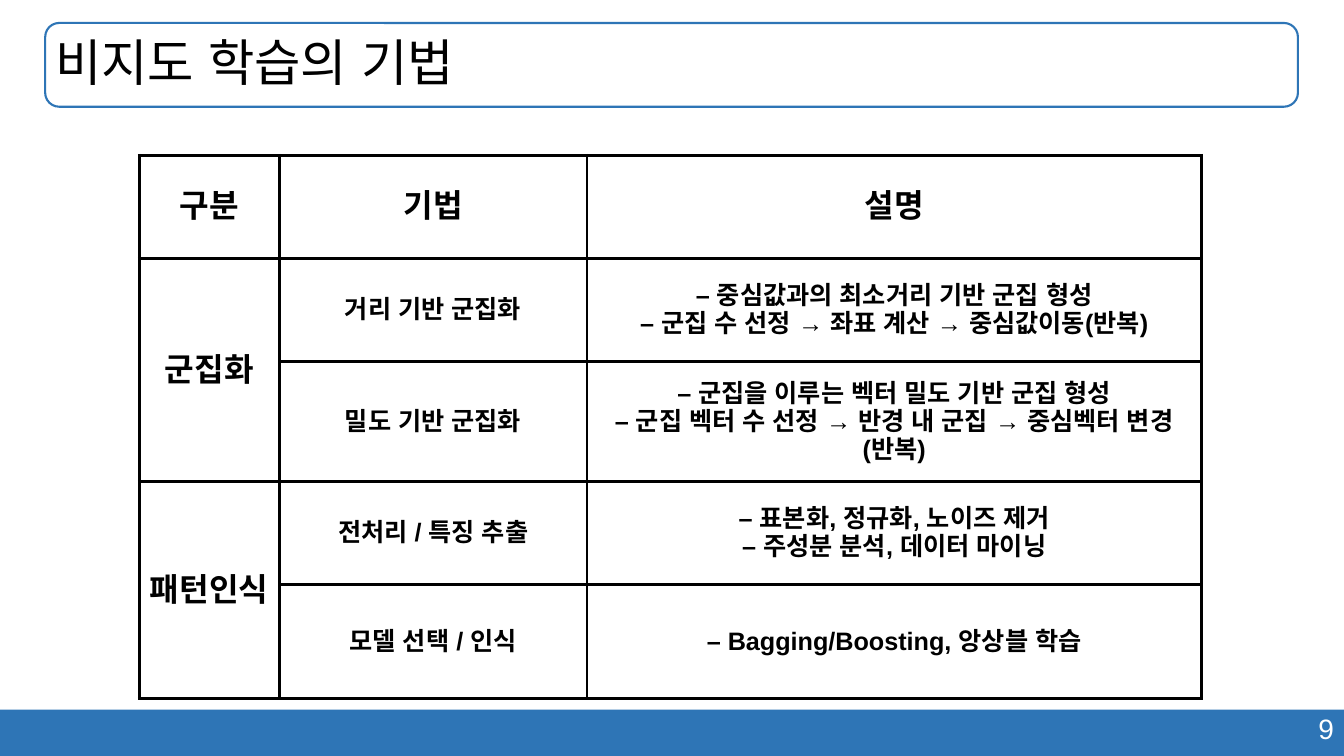
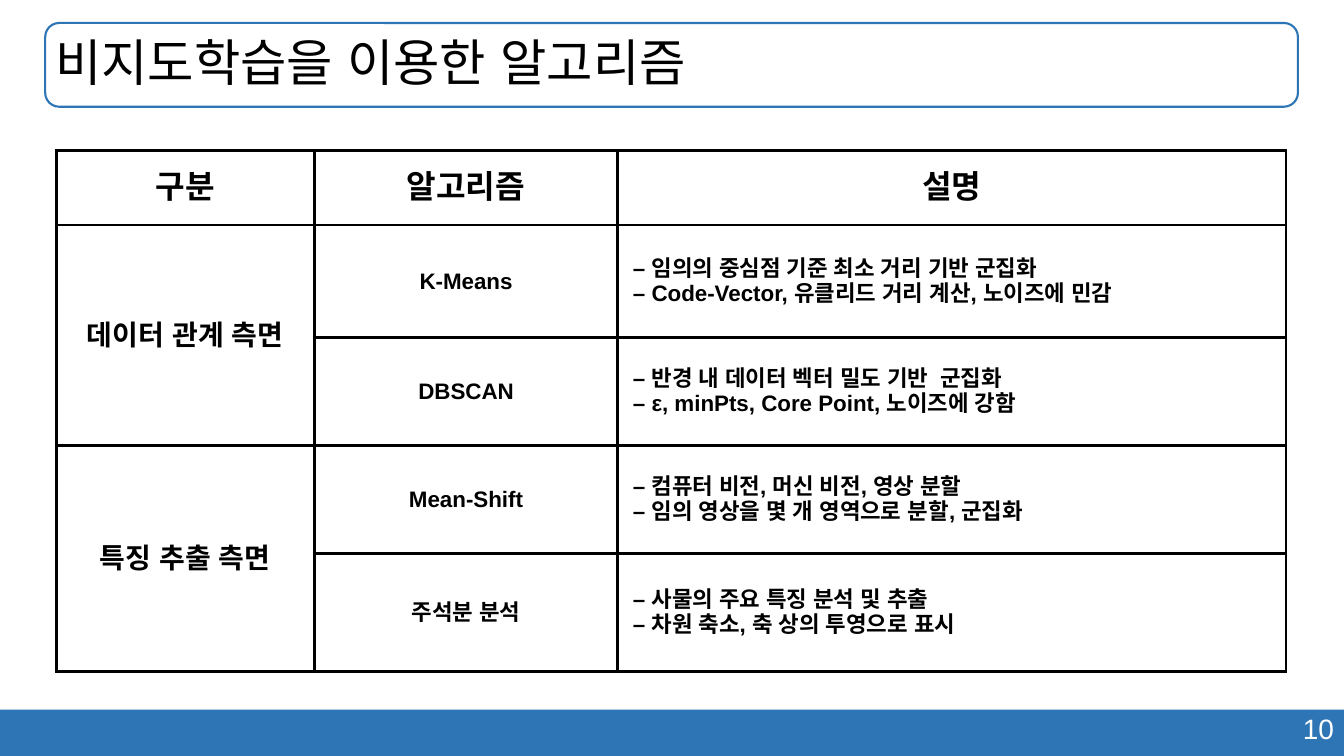
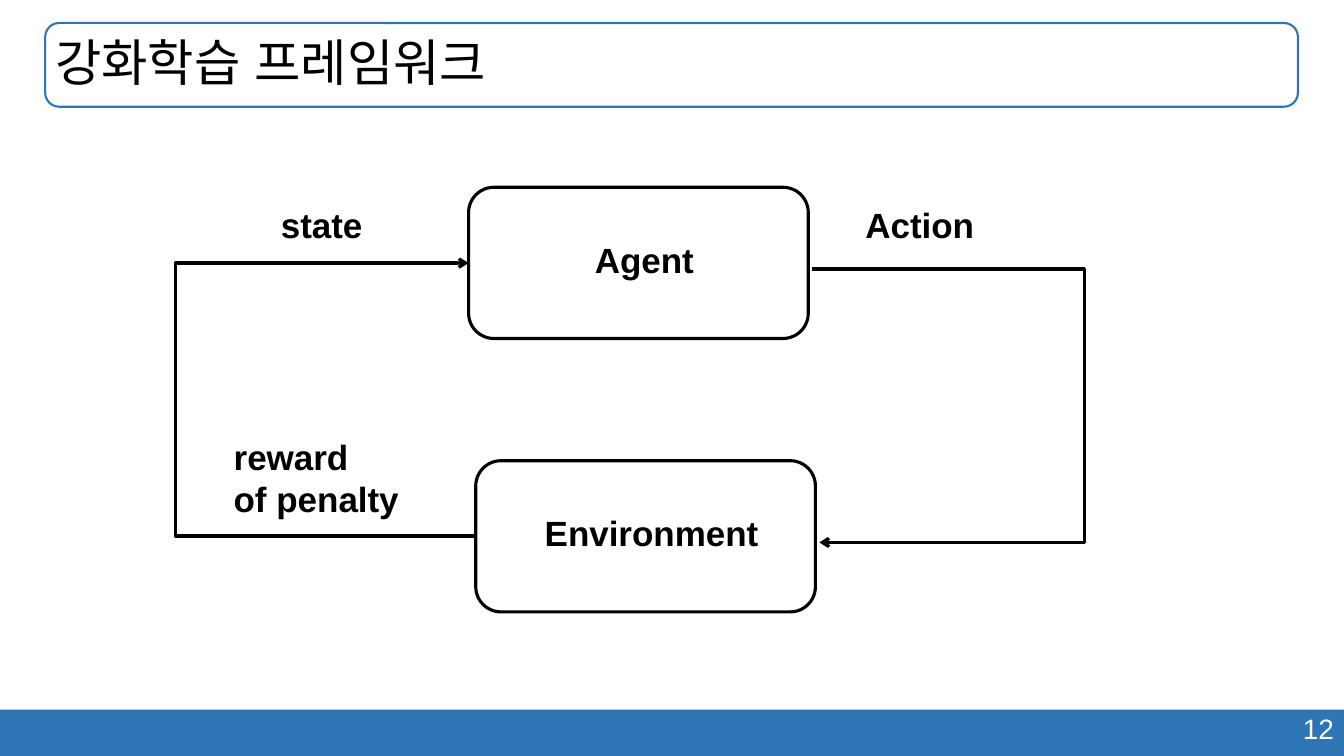
from dataclasses import dataclass

from lxml import etree
from pptx import Presentation
from pptx.dml.color import RGBColor
from pptx.enum.shapes import MSO_CONNECTOR, MSO_SHAPE
from pptx.enum.text import MSO_ANCHOR, PP_ALIGN
from pptx.oxml.ns import qn
from pptx.util import Cm, Pt

BLUE = RGBColor(0x2E, 0x75, 0xB6)
BLACK = RGBColor(0x00, 0x00, 0x00)
WHITE = RGBColor(0xFF, 0xFF, 0xFF)
FONT = "Arial"
LEFT, CENTER, RIGHT = PP_ALIGN.LEFT, PP_ALIGN.CENTER, PP_ALIGN.RIGHT
TOP, MIDDLE = MSO_ANCHOR.TOP, MSO_ANCHOR.MIDDLE
RECT, ROUNDED = MSO_SHAPE.RECTANGLE, MSO_SHAPE.ROUNDED_RECTANGLE
PROCESS = MSO_SHAPE.FLOWCHART_ALTERNATE_PROCESS
ELBOW = MSO_CONNECTOR.ELBOW

SLIDE_W, SLIDE_H = 33.87, 19.05
BAND_TOP = 17.88
TITLE_BOX = (1.14, 0.58, 31.57, 2.11)
NUMBER_BOX = (23.96, 17.81, 9.91, 1.12)
NODE_W, NODE_H = 8.56, 3.81
LABEL_W = 5.38
LINE_W = 2.25
HEADER_SIZE = 23
DIAGRAM_SIZE = 25


@dataclass(frozen=True)
class Group:
    name: str
    entries: tuple[tuple[str, str], ...]


@dataclass(frozen=True)
class TableSpec:
    left: float
    top: float
    cols: tuple[float, ...]
    rows: tuple[float, ...]
    header: tuple[str, ...]
    groups: tuple[Group, ...]
    group_size: int
    entry_size: int
    detail_align: PP_ALIGN = CENTER
    detail_inset: float | None = None


@dataclass(frozen=True)
class Node:
    text: str
    left: float
    top: float


@dataclass(frozen=True)
class Label:
    text: str
    left: float
    top: float
    height: float = 1.32


@dataclass(frozen=True)
class Link:
    start: tuple[float, float]
    end: tuple[float, float]
    turn_x: float


TECHNIQUES = TableSpec(
    3.51, 3.91, (3.53, 7.75, 15.49), (2.6, 2.6, 3.02, 2.6, 2.87),
    ("구분", "기법", "설명"),
    (
        Group("군집화", (
            ("거리 기반 군집화",
             "– 중심값과의 최소거리 기반 군집 형성\n"
             "– 군집 수 선정 → 좌표 계산 → 중심값이동(반복)"),
            ("밀도 기반 군집화",
             "– 군집을 이루는 벡터 밀도 기반 군집 형성\n"
             "– 군집 벡터 수 선정 → 반경 내 군집 → 중심벡터 변경(반복)"),
        )),
        Group("패턴인식", (
            ("전처리 / 특징 추출",
             "– 표본화, 정규화, 노이즈 제거\n– 주성분 분석, 데이터 마이닝"),
            ("모델 선택 / 인식", "– Bagging/Boosting, 앙상블 학습"),
        )),
    ),
    group_size=23, entry_size=18,
)

ALGORITHMS = TableSpec(
    1.42, 3.79, (6.5, 7.65, 16.84), (1.88, 2.84, 2.72, 2.72, 2.97),
    ("구분", "알고리즘", "설명"),
    (
        Group("데이터 관계 측면", (
            ("K-Means",
             "– 임의의 중심점 기준 최소 거리 기반 군집화\n"
             "– Code-Vector, 유클리드 거리 계산, 노이즈에 민감"),
            ("DBSCAN",
             "– 반경 내 데이터 벡터 밀도 기반  군집화\n"
             "– ε, minPts, Core Point, 노이즈에 강함"),
        )),
        Group("특징 추출 측면", (
            ("Mean-Shift",
             "– 컴퓨터 비전, 머신 비전, 영상 분할\n"
             "– 임의 영상을 몇 개 영역으로 분할, 군집화"),
            ("주석분 분석",
             "– 사물의 주요 특징 분석 및 추출\n"
             "– 차원 축소, 축 상의 투영으로 표시"),
        )),
    ),
    group_size=20, entry_size=16, detail_align=LEFT, detail_inset=0.38,
)

NODES = (Node("Agent", 11.81, 4.72), Node("Environment", 11.99, 11.61))
LINKS = (
    Link((20.47, 6.78), (20.65, 13.67), 27.33),
    Link((11.99, 13.51), (11.81, 6.63), 4.43),
)
LABELS = (
    Label("state", 6.83, 5),
    Label("Action", 21.56, 5),
    Label("reward\nof penalty", 5.64, 10.85, 2.36),
)


def write(tf, text: str, *, size: float, color: RGBColor = BLACK,
          bold: bool = False, align: PP_ALIGN = LEFT,
          spacing: float | None = None) -> None:
    for i, line in enumerate(text.split("\n")):
        p = tf.paragraphs[0] if i == 0 else tf.add_paragraph()
        p.alignment = align
        p.line_spacing = spacing
        r = p.add_run()
        r.text = line
        r.font.size = Pt(size)
        r.font.bold = bold
        r.font.color.rgb = color
        r.font.name = FONT
        etree.SubElement(r._r.get_or_add_rPr(), qn("a:ea"), typeface=FONT)


def add_text(s, box: tuple[float, ...], text: str, *,
             anchor: MSO_ANCHOR = TOP, **fmt) -> None:
    tf = s.shapes.add_textbox(*map(Cm, box)).text_frame
    tf.word_wrap = True
    tf.vertical_anchor = anchor
    write(tf, text, **fmt)


def add_box(s, kind: MSO_SHAPE, box: tuple[float, ...], *,
            fill: RGBColor | None = None, line: RGBColor | None = None,
            width: float = LINE_W):
    sp = s.shapes.add_shape(kind, *map(Cm, box))
    sp.shadow.inherit = False
    if fill is None:
        sp.fill.background()
    else:
        sp.fill.solid()
        sp.fill.fore_color.rgb = fill
    if line is None:
        sp.line.fill.background()
    else:
        sp.line.color.rgb = line
        sp.line.width = Pt(width)
    return sp


def add_page(prs, title: str, number: int):
    s = prs.slides.add_slide(prs.slide_layouts[6])
    add_box(s, RECT, (0, BAND_TOP, SLIDE_W, SLIDE_H - BAND_TOP), fill=BLUE)
    add_text(s, NUMBER_BOX, str(number), size=20, color=WHITE, align=RIGHT)
    add_box(s, ROUNDED, TITLE_BOX, line=BLUE, width=1.5)
    add_text(s, TITLE_BOX, title, anchor=MIDDLE, size=36, spacing=0.9)
    return s


def set_borders(cell) -> None:
    tc_pr = cell._tc.get_or_add_tcPr()
    for i, side in enumerate(("lnL", "lnR", "lnT", "lnB")):
        ln = etree.Element(qn(f"a:{side}"), w=str(Pt(LINE_W)))
        fill = etree.SubElement(ln, qn("a:solidFill"))
        etree.SubElement(fill, qn("a:srgbClr"), val=str(BLACK))
        tc_pr.insert(i, ln)


def fill_cell(cell, text: str, size: float, align: PP_ALIGN = CENTER) -> None:
    cell.vertical_anchor = MIDDLE
    write(cell.text_frame, text, size=size, bold=True, align=align)


def add_grid(s, spec: TableSpec) -> None:
    frame = s.shapes.add_table(
        len(spec.rows), len(spec.cols), Cm(spec.left), Cm(spec.top),
        Cm(sum(spec.cols)), Cm(sum(spec.rows)))
    table = frame.table
    table.first_row = table.horz_banding = False
    for col, width in zip(table.columns, spec.cols):
        col.width = Cm(width)
    for row, height in zip(table.rows, spec.rows):
        row.height = Cm(height)
    for cell in table.iter_cells():
        cell.fill.background()
        set_borders(cell)
    for c, text in enumerate(spec.header):
        fill_cell(table.cell(0, c), text, HEADER_SIZE)
    r = 1
    for group in spec.groups:
        head = table.cell(r, 0)
        head.merge(table.cell(r + len(group.entries) - 1, 0))
        fill_cell(head, group.name, spec.group_size)
        for name, detail in group.entries:
            fill_cell(table.cell(r, 1), name, spec.entry_size)
            cell = table.cell(r, 2)
            fill_cell(cell, detail, spec.entry_size, spec.detail_align)
            if spec.detail_inset is not None:
                inset = Cm(spec.detail_inset)
                cell.margin_left = cell.margin_right = inset
                cell.margin_top = cell.margin_bottom = inset
            r += 1


def add_node(s, node: Node) -> None:
    sp = add_box(s, PROCESS, (node.left, node.top, NODE_W, NODE_H), line=BLACK)
    tf = sp.text_frame
    tf.margin_left = Cm(0.55)
    tf.margin_bottom = Cm(0.3)
    tf.vertical_anchor = MIDDLE
    write(tf, node.text, size=DIAGRAM_SIZE, bold=True, align=CENTER)


def add_link(s, link: Link) -> None:
    cx = s.shapes.add_connector(ELBOW, *map(Cm, link.start + link.end))
    cx.line.color.rgb = BLACK
    cx.line.width = Pt(LINE_W)
    x1, x2 = link.start[0], link.end[0]
    bend = round((link.turn_x - x1) / (x2 - x1) * 100000)
    sp_pr = cx._element.spPr
    guides = sp_pr.find(qn("a:prstGeom")).get_or_add_avLst()
    etree.SubElement(guides, qn("a:gd"), name="adj1", fmla=f"val {bend}")
    etree.SubElement(sp_pr.find(qn("a:ln")), qn("a:tailEnd"), type="arrow")
    etree.SubElement(sp_pr, qn("a:effectLst"))


def main() -> None:
    prs = Presentation()
    prs.slide_width, prs.slide_height = Cm(SLIDE_W), Cm(SLIDE_H)

    add_grid(add_page(prs, "비지도 학습의 기법", 9), TECHNIQUES)
    add_grid(add_page(prs, "비지도학습을 이용한 알고리즘", 10), ALGORITHMS)

    s = add_page(prs, "강화학습 프레임워크", 12)
    for node in NODES:
        add_node(s, node)
    for link in LINKS:
        add_link(s, link)
    for label in LABELS:
        add_text(s, (label.left, label.top, LABEL_W, label.height), label.text,
                 size=DIAGRAM_SIZE, bold=True)

    prs.save("out.pptx")


if __name__ == "__main__":
    main()
